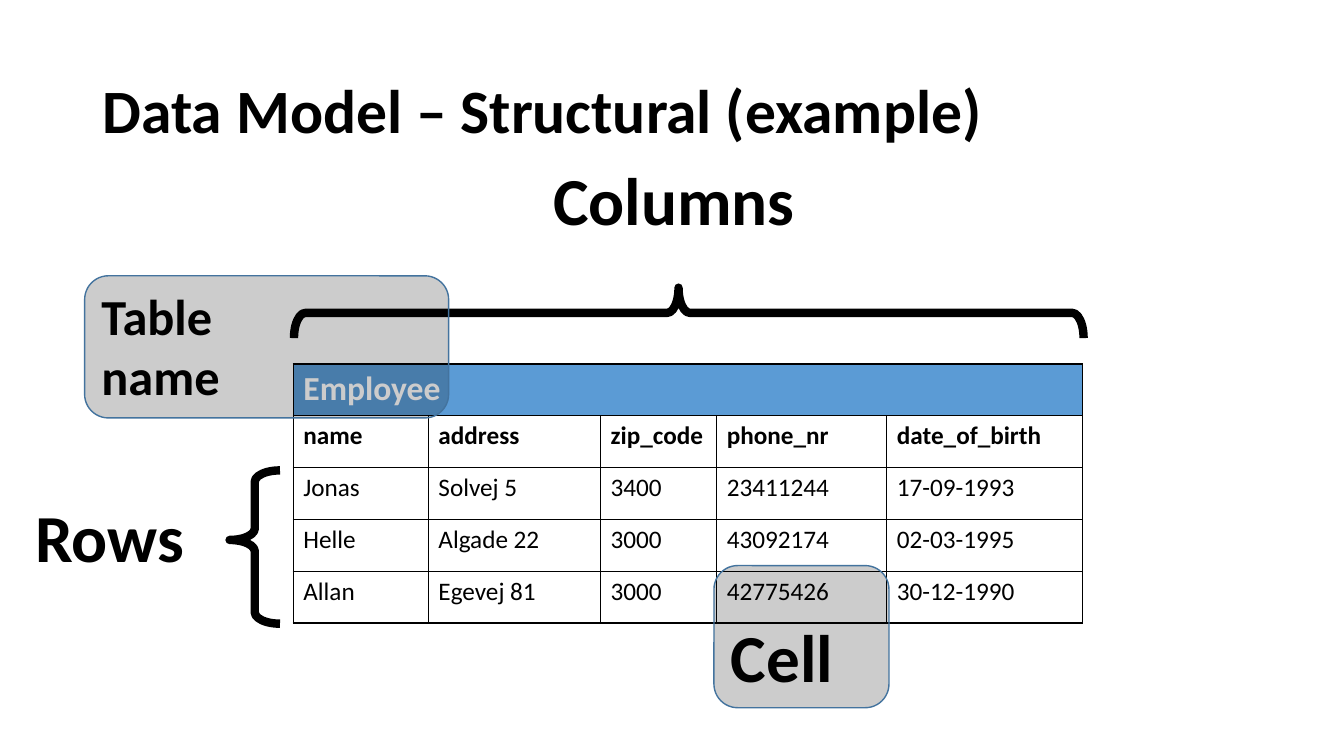
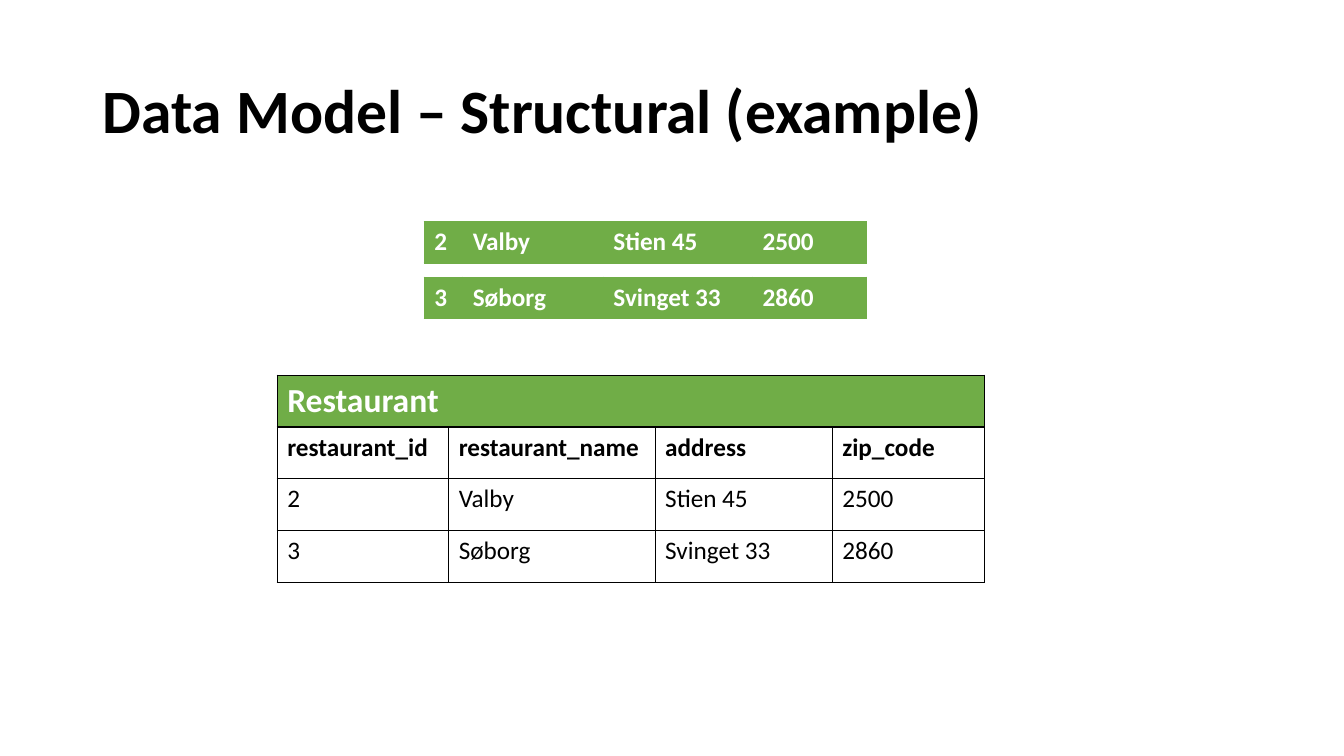
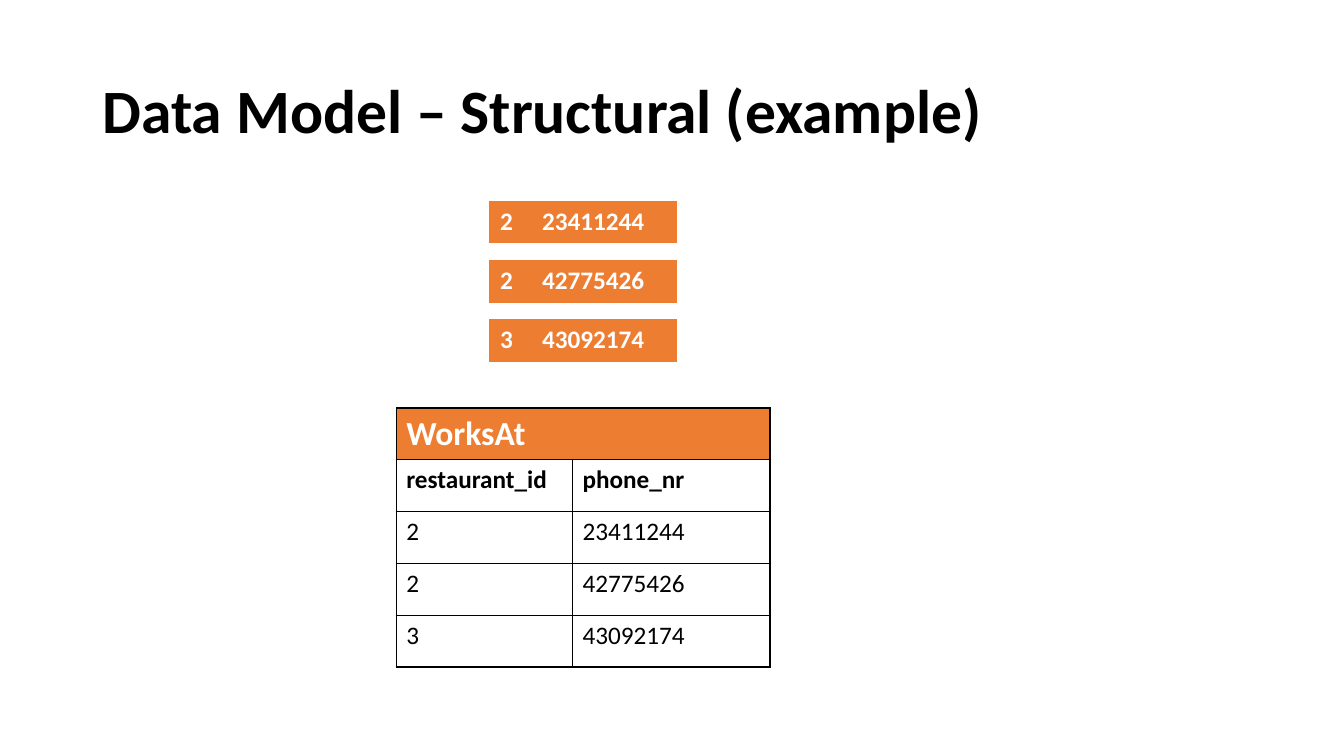
from dataclasses import dataclass

from lxml.etree import SubElement
from pptx import Presentation
from pptx.dml.color import RGBColor
from pptx.enum.shapes import MSO_SHAPE as Preset
from pptx.enum.text import MSO_ANCHOR as Anchor, MSO_AUTO_SIZE as AutoSize, PP_ALIGN as Align
from pptx.oxml.ns import qn
from pptx.util import Pt

FONT = "Calibri"
BLACK, WHITE = "000000", "FFFFFF"
BLUE, GREEN, ORANGE, OUTLINE = "5B9BD5", "70AD47", "ED7D31", "43739E"
TITLE = "Data Model – Structural (example)"
ROW_HEIGHT, RECORD_HEIGHT = 37, 29.5


@dataclass
class Box:
    left: float
    top: float
    width: float
    height: float

    def lengths(self):
        return Pt(self.left), Pt(self.top), Pt(self.width), Pt(self.height)


@dataclass
class Relation:
    name: str
    color: str
    left: float
    top: float
    widths: list[float]
    columns: list[str]
    rows: list[list[str]]


@dataclass
class Records:
    """Loose one-row tables stacked at an equal step above a relation."""
    left: float
    top: float
    step: float
    widths: list[float]


@dataclass
class Brace:
    box: Box
    tip: float
    rotation: float = 0


@dataclass
class Label:
    text: str
    box: Box
    size: float = 48


EMPLOYEE = Relation(
    "Employee", BLUE, 209.5, 260, [96.5, 123, 83, 121.5, 140],
    ["name", "address", "zip_code", "phone_nr", "date_of_birth"],
    [["Jonas", "Solvej 5", "3400", "23411244", "17-09-1993"],
     ["Helle", "Algade 22", "3000", "43092174", "02-03-1995"],
     ["Allan", "Egevej 81", "3000", "42775426", "30-12-1990"]])
RESTAURANT = Relation(
    "Restaurant", GREEN, 198, 268, [122.5, 147.5, 126.5, 108.5],
    ["restaurant_id", "restaurant_name", "address", "zip_code"],
    [["2", "Valby", "Stien 45", "2500"], ["3", "Søborg", "Svinget 33", "2860"]])
WORKS_AT = Relation(
    "WorksAt", ORANGE, 283, 291.5, [126, 141],
    ["restaurant_id", "phone_nr"],
    [["2", "23411244"], ["2", "42775426"], ["3", "43092174"]])

RESTAURANT_RECORDS = Records(303, 158.4, 39.6, [27.5, 100.5, 106.5, 81.5])
WORKS_AT_RECORDS = Records(350, 144, 42.2, [30, 103])

BRACES = [Brace(Box(164, 336, 36, 109.5), 0.454),
          Brace(Box(474, -58.5, 36, 564), 0.513, 90)]
LABELS = [Label("Rows", Box(18, 350.5, 122, 65.5)),
          Label("Columns", Box(388, 109.5, 189, 65.5))]
CALLOUTS = [Label("Cell", Box(510, 404, 125, 101.5)),
            Label("Table\nname", Box(60.5, 197, 260, 101.5), 36)]


def rgb(color: str) -> RGBColor:
    return RGBColor.from_string(color)


def format_text(tf, size: float, color: str = BLACK, bold: bool = True) -> None:
    for p in tf.paragraphs:
        p.alignment = Align.LEFT
        for r in p.runs:
            r.font.name = FONT
            r.font.size = Pt(size)
            r.font.bold = bold
            r.font.color.rgb = rgb(color)


def add_titled_slide(prs):
    slide = prs.slides.add_slide(prs.slide_layouts[5])
    title = slide.shapes.title
    title.left, title.top, title.width, title.height = Box(66, 29, 828, 104.5).lengths()
    tf = title.text_frame
    tf.text = TITLE
    tf.vertical_anchor = Anchor.MIDDLE
    tf.paragraphs[0].line_spacing = 0.9
    format_text(tf, 44)
    return slide


def set_borders(cell, color: str) -> None:
    tc_pr = cell._tc.get_or_add_tcPr()
    for side in ("a:lnL", "a:lnR", "a:lnT", "a:lnB"):
        ln = SubElement(tc_pr, qn(side), w=str(Pt(1)))
        fill = SubElement(ln, qn("a:solidFill"))
        SubElement(fill, qn("a:srgbClr"), val=color)


def add_plain_table(slide, left: float, top: float, widths: list[float],
                    row_count: int, row_height: float, border: str):
    """Add a table without style bands, with every cell bordered and unfilled."""
    box = Box(left, top, sum(widths), row_count * row_height)
    table = slide.shapes.add_table(row_count, len(widths), *box.lengths()).table
    table.first_row = table.horz_banding = False
    for column, width in zip(table.columns, widths):
        column.width = Pt(width)
    for row in table.rows:
        row.height = Pt(row_height)
        for cell in row.cells:
            set_borders(cell, border)
            cell.fill.background()
    return table


def fill_cell(cell, color: str) -> None:
    cell.fill.solid()
    cell.fill.fore_color.rgb = rgb(color)


def set_cell_text(cell, text: str, size: float = 18, color: str = BLACK,
                  bold: bool = True) -> None:
    cell.text_frame.text = text
    format_text(cell.text_frame, size, color, bold)


def add_relation(slide, rel: Relation) -> None:
    table = add_plain_table(slide, rel.left, rel.top, rel.widths,
                            len(rel.rows) + 2, ROW_HEIGHT, BLACK)
    header = table.cell(0, 0)
    header.merge(table.cell(0, len(rel.widths) - 1))
    fill_cell(header, rel.color)
    set_cell_text(header, rel.name, 24, WHITE)
    for i, row in enumerate([rel.columns, *rel.rows]):
        for j, text in enumerate(row):
            set_cell_text(table.cell(i + 1, j), text, bold=i == 0)


def add_records(slide, records: Records, rel: Relation) -> None:
    for i, row in enumerate(rel.rows):
        table = add_plain_table(slide, records.left, records.top + i * records.step,
                                records.widths, 1, RECORD_HEIGHT, rel.color)
        for j, text in enumerate(row):
            fill_cell(table.cell(0, j), rel.color)
            set_cell_text(table.cell(0, j), text, color=WHITE)


def add_outlined_shape(slide, preset, box: Box, color: str, width: float):
    sp = slide.shapes.add_shape(preset, *box.lengths())
    sp.shadow.inherit = False
    sp.line.color.rgb = rgb(color)
    sp.line.width = Pt(width)
    return sp


def add_brace(slide, brace: Brace) -> None:
    sp = add_outlined_shape(slide, Preset.LEFT_BRACE, brace.box, BLACK, 6)
    sp.fill.background()
    sp.adjustments[0] = 0.226
    sp.adjustments[1] = brace.tip
    sp.rotation = brace.rotation


def add_label(slide, label: Label) -> None:
    tf = slide.shapes.add_textbox(*label.box.lengths()).text_frame
    tf.word_wrap = False
    tf.auto_size = AutoSize.SHAPE_TO_FIT_TEXT
    tf.text = label.text
    format_text(tf, label.size)


def add_callout(slide, label: Label) -> None:
    """Add a see-through rounded box that highlights part of the table."""
    sp = add_outlined_shape(slide, Preset.ROUNDED_RECTANGLE, label.box, OUTLINE, 1)
    sp.fill.solid()
    sp.fill.fore_color.rgb = rgb(BLACK)
    color = sp._element.spPr.find(qn("a:solidFill")).find(qn("a:srgbClr"))
    SubElement(color, qn("a:alpha"), val="20000")
    tf = sp.text_frame
    tf.word_wrap = True
    tf.vertical_anchor = Anchor.BOTTOM
    tf.text = label.text
    format_text(tf, label.size)


def main() -> None:
    prs = Presentation()
    prs.slide_width, prs.slide_height = Pt(960), Pt(540)

    slide = add_titled_slide(prs)
    add_relation(slide, EMPLOYEE)
    for brace in BRACES:
        add_brace(slide, brace)
    for label in LABELS:
        add_label(slide, label)
    for callout in CALLOUTS:
        add_callout(slide, callout)

    for rel, records in ((RESTAURANT, RESTAURANT_RECORDS), (WORKS_AT, WORKS_AT_RECORDS)):
        slide = add_titled_slide(prs)
        add_records(slide, records, rel)
        add_relation(slide, rel)

    prs.save("out.pptx")


if __name__ == "__main__":
    main()
